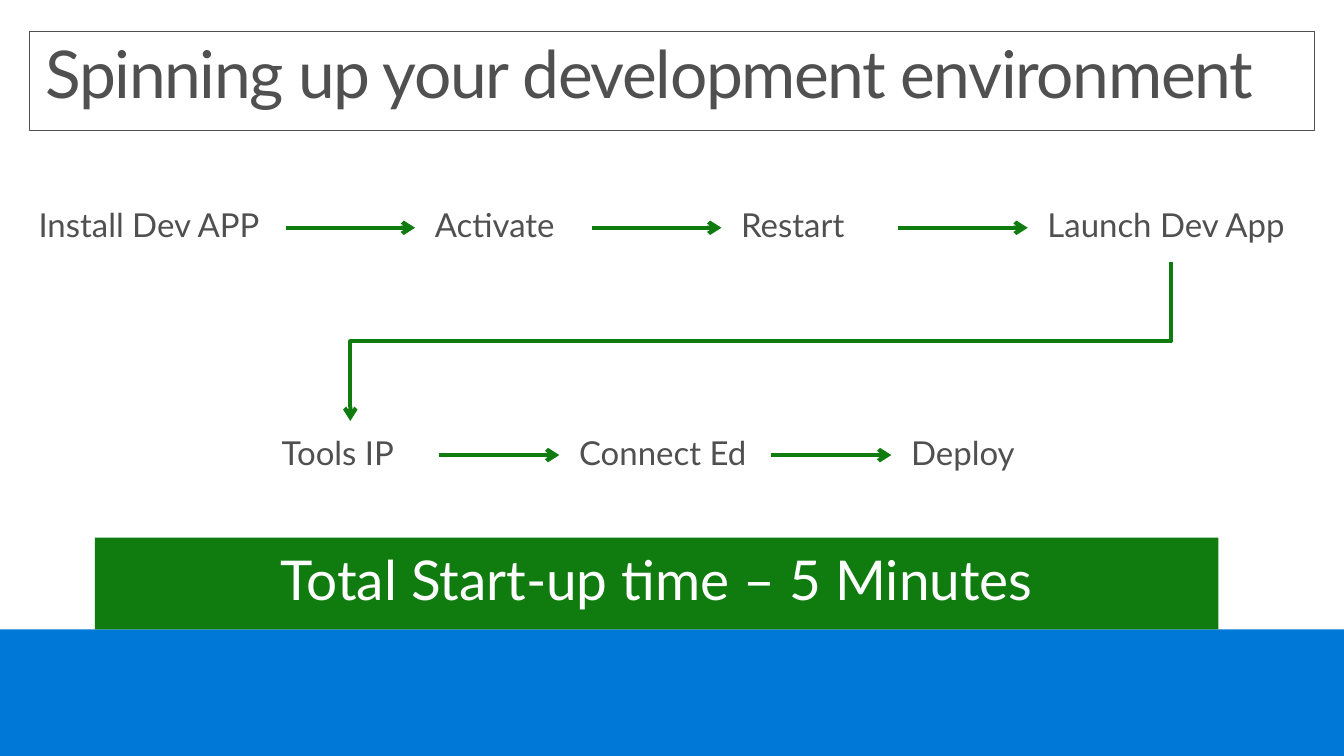
from dataclasses import dataclass

from lxml import etree
from pptx import Presentation
from pptx.dml.color import RGBColor
from pptx.enum import shapes, text
from pptx.oxml.ns import qn
from pptx.util import Inches, Pt

HUES = {"blue": "0078D7", "white": "FFFFFF", "grey": "505050", "green": "107C10"}
FACE = "Lato"
STEP_H = 0.69


@dataclass
class Step:
    name: str
    left: float
    width: float

    @property
    def right(self) -> float:
        return self.left + self.width

    @property
    def mid(self) -> float:
        return self.left + self.width / 2


@dataclass
class Row:
    top: float
    steps: list[Step]


ROWS = [
    Row(1.96, [
        Step("Install Dev APP", 0.19, 2.7),
        Step("Activate", 4.2, 1.79),
        Step("Restart", 7.3, 1.79),
        Step("Launch Dev App", 10.4, 2.9),
    ]),
    Row(4.26, [
        Step("Tools IP", 2.65, 1.79),
        Step("Connect Ed", 5.66, 2.14),
        Step("Deploy", 9.02, 1.47),
    ]),
]


def hue(name: str) -> RGBColor:
    return RGBColor.from_string(HUES[name])


def write(shape, words: str, size: float, color: str, pad: tuple[float, float],
          align=text.PP_ALIGN.LEFT, after: float = 6) -> None:
    frame = shape.text_frame
    frame.text = words
    frame.word_wrap = True
    frame.auto_size = text.MSO_AUTO_SIZE.NONE
    frame.vertical_anchor = text.MSO_ANCHOR.TOP
    frame.margin_left = frame.margin_right = Inches(pad[0])
    frame.margin_top = frame.margin_bottom = Inches(pad[1])
    para = frame.paragraphs[0]
    para.alignment = align
    para.line_spacing = 0.9
    para.space_before = Pt(0)
    para.space_after = Pt(after)
    para.font.name = FACE
    para.font.size = Pt(size)
    para.font.color.rgb = hue(color)


def add_block(slide, box: tuple[float, ...], color: str):
    block = slide.shapes.add_shape(shapes.MSO_SHAPE.RECTANGLE, *map(Inches, box))
    block.shadow.inherit = False
    block.fill.solid()
    block.fill.fore_color.rgb = hue(color)
    block.line.fill.background()
    return block


def add_arrow(slide, kind, start: tuple[float, float], end: tuple[float, float]):
    ends = map(Inches, (*start, *end))
    arrow = slide.shapes.add_connector(kind, *ends)
    arrow.line.color.rgb = hue("green")
    arrow.line.width = Pt(3)
    props = arrow._element.spPr
    etree.SubElement(props.find(qn("a:ln")), qn("a:tailEnd"), type="arrow")
    etree.SubElement(props, qn("a:effectLst"))
    return arrow


def add_drop(slide, start: tuple[float, float], end: tuple[float, float]) -> None:
    """Join two rows with an elbow that leaves downward: a quarter turn."""
    drop = add_arrow(slide, shapes.MSO_CONNECTOR.ELBOW, (0, 0), (1, 1))
    wide, high = start[0] - end[0], end[1] - start[1]
    drop.left = Inches((start[0] + end[0] - high) / 2)
    drop.top = Inches((start[1] + end[1] - wide) / 2)
    drop.width, drop.height = Inches(high), Inches(wide)
    drop._element.spPr.find(qn("a:xfrm")).set("rot", str(90 * 60000))


def add_row(slide, row: Row) -> None:
    for step in row.steps:
        box = slide.shapes.add_textbox(
            *map(Inches, (step.left, row.top, step.width, STEP_H)))
        write(box, step.name, 24, "grey", (0.2, 0.16))
    level = row.top + STEP_H / 2
    for step, after in zip(row.steps, row.steps[1:]):
        add_arrow(slide, shapes.MSO_CONNECTOR.STRAIGHT,
                  (step.right, level), (after.left, level))


def add_title(slide) -> None:
    title = slide.shapes.title
    title.left, title.top, title.width, title.height = map(Inches, (0.3, 0.32, 13, 1))
    title.fill.solid()
    title.fill.fore_color.rgb = hue("white")
    title.line.color.rgb = hue("grey")
    title.line.width = Pt(0.85)
    write(title, "Spinning up your development environment", 48, "grey",
          (0.16, 0.1), after=0)
    run = title.text_frame.paragraphs[0].runs[0]
    run._r.get_or_add_rPr().set("spc", "-100")


def main() -> None:
    deck = Presentation()
    deck.slide_width, deck.slide_height = Inches(13.6), Inches(7.65)
    slide = deck.slides.add_slide(deck.slide_layouts[5])
    slide.background.fill.solid()
    slide.background.fill.fore_color.rgb = hue("blue")

    panel = add_block(slide, (0, 0, 13.6, 6.37), "white")
    slide.shapes.title._element.addprevious(panel._element)
    add_title(slide)

    for row in ROWS:
        add_row(slide, row)
    upper, lower = ROWS
    add_drop(slide, (upper.steps[-1].mid, upper.top + STEP_H),
             (lower.steps[0].mid, lower.top))

    banner = add_block(slide, (0.96, 5.44, 11.37, 0.93), "green")
    write(banner, "Total Start-up time – 5 Minutes", 40, "white", (0.2, 0.16),
          text.PP_ALIGN.CENTER)
    deck.save("out.pptx")


if __name__ == "__main__":
    main()
